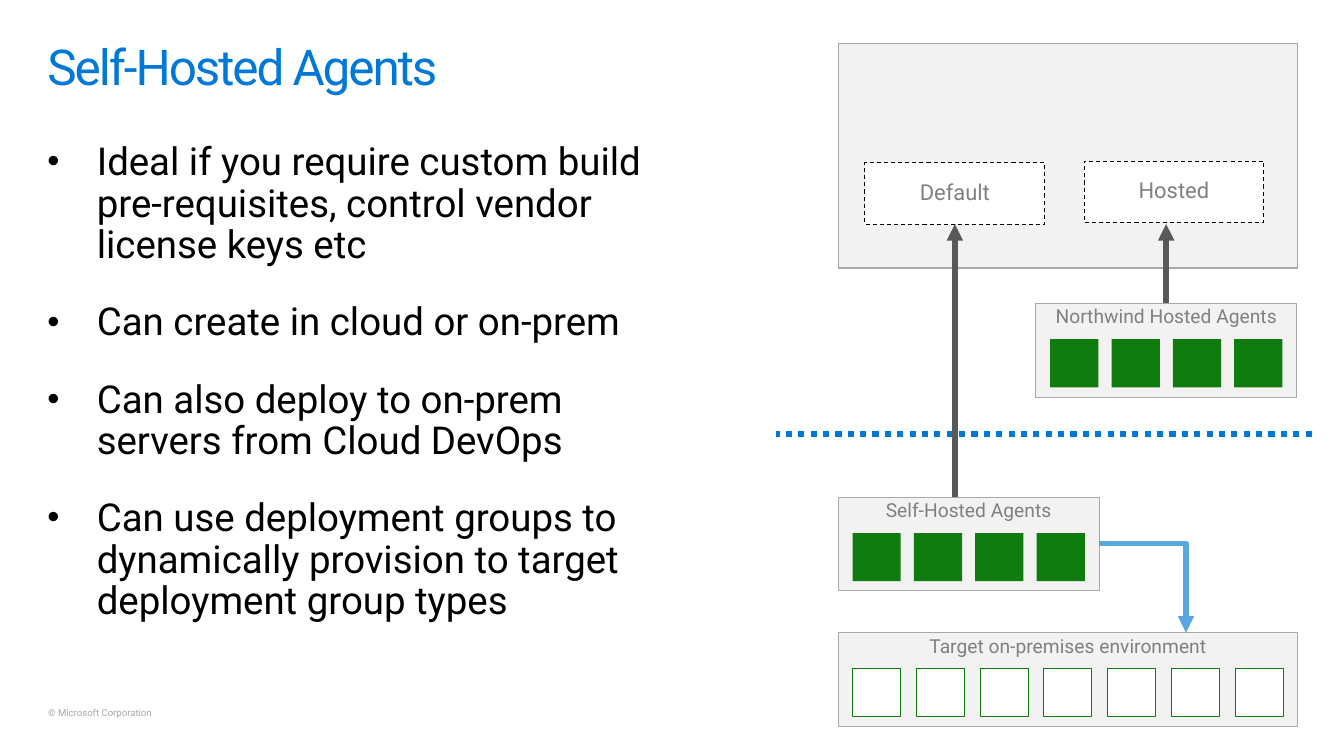
from lxml import etree
from pptx import Presentation
from pptx.dml.color import RGBColor
from pptx.enum.dml import MSO_LINE
from pptx.enum.shapes import MSO_CONNECTOR, MSO_SHAPE
from pptx.enum.text import MSO_ANCHOR, PP_ALIGN
from pptx.oxml.ns import qn
from pptx.util import Cm, Pt

RECTANGLE = MSO_SHAPE.RECTANGLE
STRAIGHT = MSO_CONNECTOR.STRAIGHT
ELBOW = MSO_CONNECTOR.ELBOW
DASH = MSO_LINE.DASH
ROUND_DOT = MSO_LINE.ROUND_DOT
TOP = MSO_ANCHOR.TOP
MIDDLE = MSO_ANCHOR.MIDDLE
LEFT = PP_ALIGN.LEFT
CENTER = PP_ALIGN.CENTER

FONT = "Roboto"
BLUE = "0078D7"
GREEN = "107C10"
WHITE = "FFFFFF"
PANEL_FILL = "F2F2F2"
PANEL_LINE = "A8A8A8"
LABEL_GRAY = "808080"
ARROW_GRAY = "595959"

RIGHT_COLUMN = 21.54
WIDE_PANEL = 11.81
AGENT_PANEL = 6.71
PANEL_HEIGHT = 2.41
SQUARE = 1.24
SQUARE_MARGIN = 0.37
SQUARE_DROP = 0.92
POOL_BOTTOM = 5.76

BULLETS = [
    "Ideal if you require custom build pre-requisites, control vendor license keys etc",
    "Can create in cloud or on-prem",
    "Can also deploy to on-prem servers from Cloud DevOps",
    "Can use deployment groups to dynamically provision to target deployment group types",
]


def color(value):
    return RGBColor.from_string(value)


def add_bullet(paragraph):
    properties = paragraph._p.get_or_add_pPr()
    properties.set("marL", str(Cm(1.27)))
    properties.set("indent", str(-Cm(1.27)))
    etree.SubElement(properties, qn("a:buSzPct")).set("val", "90000")
    etree.SubElement(properties, qn("a:buFont")).set("typeface", "Arial")
    etree.SubElement(properties, qn("a:buChar")).set("char", "•")


def write_text(shape, text, size=14, font_color=LABEL_GRAY, align=CENTER, anchor=TOP,
               top_inset=0, space_after=0, spacing=0, bullets=False, wrap=True):
    frame = shape.text_frame
    frame.word_wrap = wrap
    frame.vertical_anchor = anchor
    frame.margin_left = frame.margin_right = frame.margin_bottom = 0
    frame.margin_top = Cm(top_inset)
    frame.text = text
    for paragraph in frame.paragraphs:
        paragraph.alignment = align
        paragraph.line_spacing = 0.9
        paragraph.space_after = Pt(space_after)
        if bullets:
            add_bullet(paragraph)
        for run in paragraph.runs:
            run.font.name = FONT
            run.font.size = Pt(size)
            run.font.color.rgb = color(font_color)
            if spacing:
                run._r.get_or_add_rPr().set("spc", str(int(spacing * 100)))


def add_text(slide, left, top, width, height, text, **text_format):
    box = slide.shapes.add_textbox(Cm(left), Cm(top), Cm(width), Cm(height))
    write_text(box, text, align=LEFT, **text_format)


def add_box(slide, left, top, width, height, fill, line=None, dash=None):
    shape = slide.shapes.add_shape(RECTANGLE, Cm(left), Cm(top), Cm(width), Cm(height))
    shape.shadow.inherit = False
    shape.fill.solid()
    shape.fill.fore_color.rgb = color(fill)
    if line:
        shape.line.color.rgb = color(line)
        shape.line.width = Pt(0.75)
        shape.line.dash_style = dash
    else:
        shape.line.fill.background()
    return shape


def add_pool(slide, left, top, name):
    pool = add_box(slide, left, top, 4.62, 1.57, WHITE, "000000", DASH)
    write_text(pool, name, size=16, anchor=MIDDLE)


def add_machine_panel(slide, left, top, width, name, count, fill, line=None):
    panel = add_box(slide, left, top, width, PANEL_HEIGHT, PANEL_FILL, PANEL_LINE)
    write_text(panel, name, top_inset=0.1)
    pitch = (width - 2 * SQUARE_MARGIN - SQUARE) / (count - 1)
    for index in range(count):
        square_left = left + SQUARE_MARGIN + index * pitch
        add_box(slide, square_left, top + SQUARE_DROP, SQUARE, SQUARE, fill, line)


def add_line(slide, start, end, line_color, width=4, kind=STRAIGHT, dash=None, arrow=True):
    points = [Cm(value) for value in (*start, *end)]
    connector = slide.shapes.add_connector(kind, *points)
    connector.line.color.rgb = color(line_color)
    connector.line.width = Pt(width)
    connector.line.dash_style = dash
    properties = connector._element.spPr
    if kind == ELBOW:
        properties.find(qn("a:prstGeom")).set("prst", "bentConnector2")
    if arrow:
        line = properties.find(qn("a:ln"))
        etree.SubElement(line, qn("a:tailEnd")).set("type", "triangle")
    etree.SubElement(properties, qn("a:effectLst"))


def main():
    presentation = Presentation()
    presentation.slide_width = Cm(34.54)
    presentation.slide_height = Cm(19.43)
    slide = presentation.slides.add_slide(presentation.slide_layouts[6])

    add_box(slide, RIGHT_COLUMN, 1.12, WIDE_PANEL, 5.77, PANEL_FILL, PANEL_LINE)
    add_text(slide, 1.22, 0.64, 15.75, 2.16, "Self-Hosted Agents",
             size=36, font_color=BLUE, top_inset=0.46, spacing=-1.5)
    add_text(slide, 1.22, 3.66, 15.75, 7.29, "\n".join(BULLETS),
             size=28, font_color="000000", space_after=26, bullets=True)
    add_text(slide, 1.24, 18.21, 2.74, 0.28, "© Microsoft Corporation",
             size=7, font_color="A6A6A6", wrap=False)

    add_pool(slide, 22.23, 4.19, "Default")
    add_pool(slide, 27.86, 4.14, "Hosted")
    add_machine_panel(slide, 26.62, 7.8, AGENT_PANEL, "Northwind Hosted Agents", 4, GREEN)
    add_line(slide, (33.71, 11.15), (19.94, 11.15), BLUE,
             width=4.5, dash=ROUND_DOT, arrow=False)
    add_machine_panel(slide, RIGHT_COLUMN, 12.78, AGENT_PANEL, "Self-Hosted Agents", 4, GREEN)
    add_machine_panel(slide, RIGHT_COLUMN, 16.26, WIDE_PANEL,
                      "Target on-premises environment", 7, WHITE, GREEN)

    add_line(slide, (24.54, 12.78), (24.54, POOL_BOTTOM), ARROW_GRAY)
    add_line(slide, (29.97, 7.8), (29.97, POOL_BOTTOM), ARROW_GRAY)
    add_line(slide, (28.25, 13.97), (30.48, 16.26), "57A7E3", kind=ELBOW)

    presentation.save("out.pptx")


if __name__ == "__main__":
    main()
